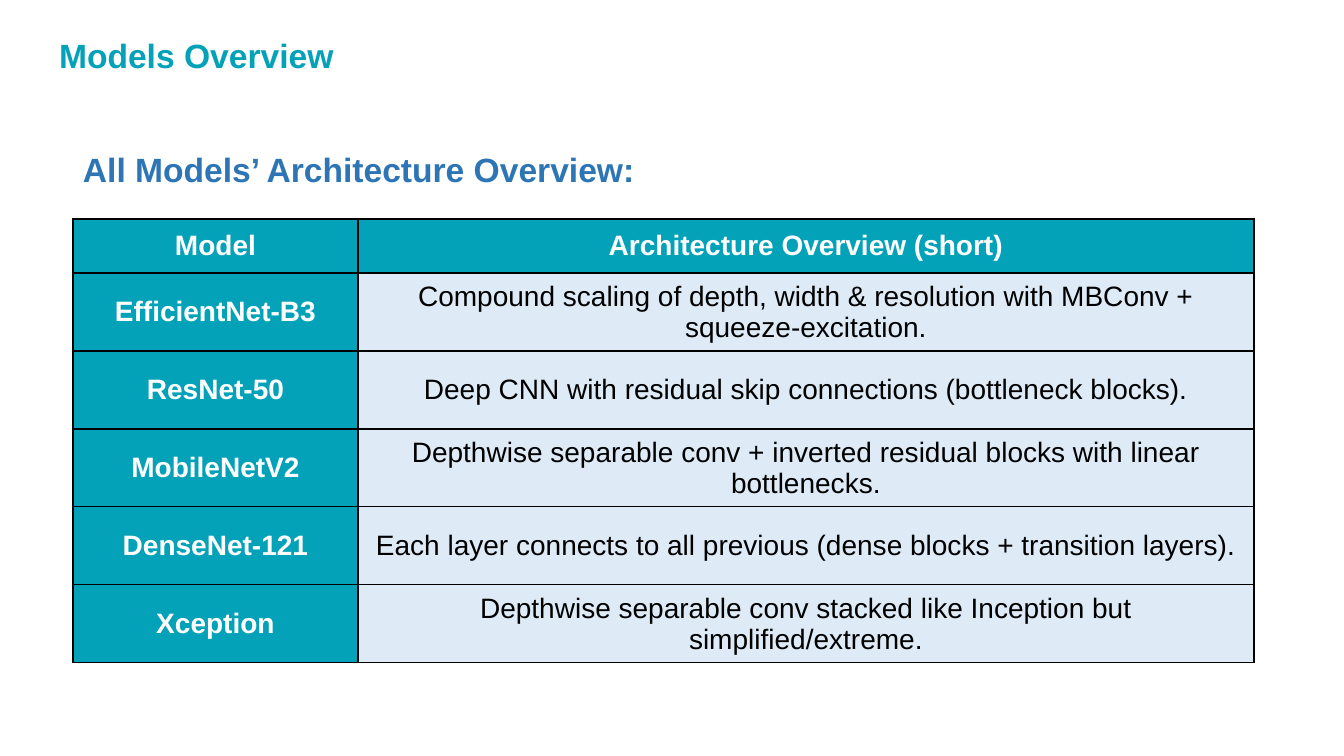
from dataclasses import dataclass

from lxml import etree
from pptx import Presentation
from pptx.dml.color import RGBColor
from pptx.enum.text import MSO_ANCHOR, MSO_AUTO_SIZE, PP_ALIGN
from pptx.oxml.ns import qn
from pptx.util import Pt

LEFT, CENTER = PP_ALIGN.LEFT, PP_ALIGN.CENTER
TOP, MIDDLE = MSO_ANCHOR.TOP, MSO_ANCHOR.MIDDLE
NO_AUTOFIT = MSO_AUTO_SIZE.NONE
EMU_PER_PX = 914400 / 100.8
TITLE_ONLY_LAYOUT = 5


@dataclass(frozen=True)
class Theme:
    font: str = "Arial"
    teal: str = "04A2B9"
    blue: str = "2E75B6"
    pale_blue: str = "DEEBF7"
    white: str = "FFFFFF"
    black: str = "000000"
    heading_size: int = 24
    table_size: int = 20
    border_width: int = 1


THEME = Theme()
HEADER = ("Model", "Architecture Overview (short)")
MODELS = (
    ("EfficientNet-B3", "Compound scaling of depth, width & resolution with MBConv + squeeze-excitation."),
    ("ResNet-50", "Deep CNN with residual skip connections (bottleneck blocks)."),
    ("MobileNetV2", "Depthwise separable conv + inverted residual blocks with linear bottlenecks."),
    ("DenseNet-121", "Each layer connects to all previous (dense blocks + transition layers)."),
    ("Xception", "Depthwise separable conv stacked like Inception but simplified/extreme."),
)


def px(length):
    return round(length * EMU_PER_PX)


def write_text(text_frame, text, size, color, bold, alignment):
    text_frame.text = text
    paragraph = text_frame.paragraphs[0]
    paragraph.alignment = alignment
    paragraph.font.name = THEME.font
    paragraph.font.size = Pt(size)
    paragraph.font.bold = bold
    paragraph.font.color.rgb = RGBColor.from_string(color)


def write_heading(shape, text, color, margin, anchor):
    text_frame = shape.text_frame
    text_frame.word_wrap = True
    text_frame.auto_size = NO_AUTOFIT
    text_frame.vertical_anchor = anchor
    text_frame.margin_left = text_frame.margin_right = px(margin)
    text_frame.margin_top = text_frame.margin_bottom = px(margin)
    write_text(text_frame, text, THEME.heading_size, color, True, LEFT)


def add_title(slide, left, top, width, height):
    title = slide.shapes.title
    title.left, title.top = px(left), px(top)
    title.width, title.height = px(width), px(height)
    write_heading(title, "Models Overview", THEME.teal, 1, MIDDLE)


def add_subtitle(slide, left, top, width, height):
    box = slide.shapes.add_textbox(px(left), px(top), px(width), px(height))
    write_heading(box, "All Models’ Architecture Overview:", THEME.blue, 10, TOP)


def add_borders(cell):
    properties = cell._tc.get_or_add_tcPr()
    for index, side in enumerate(("a:lnL", "a:lnR", "a:lnT", "a:lnB")):
        line = etree.Element(qn(side), w=str(Pt(THEME.border_width)))
        fill = etree.SubElement(line, qn("a:solidFill"))
        etree.SubElement(fill, qn("a:srgbClr"), val=THEME.black)
        properties.insert(index, line)


def format_cell(cell, text, is_heading):
    cell.fill.solid()
    cell.fill.fore_color.rgb = RGBColor.from_string(THEME.teal if is_heading else THEME.pale_blue)
    cell.vertical_anchor = MIDDLE
    color = THEME.white if is_heading else THEME.black
    write_text(cell.text_frame, text, THEME.table_size, color, is_heading, CENTER)
    add_borders(cell)


def add_model_table(slide, left, top, width, height):
    rows = (HEADER, *MODELS)
    frame = slide.shapes.add_table(
        len(rows), len(HEADER), px(left), px(top), px(width), px(height))
    table = frame.table
    model_width, header_height = 285, 54
    table.columns[0].width = px(model_width)
    table.columns[1].width = px(width - model_width)
    model_height = (height - header_height) / len(MODELS)
    for row_index, texts in enumerate(rows):
        table.rows[row_index].height = px(model_height if row_index else header_height)
        for column_index, text in enumerate(texts):
            is_heading = row_index == 0 or column_index == 0
            format_cell(table.cell(row_index, column_index), text, is_heading)


def main():
    presentation = Presentation()
    presentation.slide_width, presentation.slide_height = px(1344), px(756)
    slide = presentation.slides.add_slide(presentation.slide_layouts[TITLE_ONLY_LAYOUT])
    add_title(slide, 58, 34, 815, 42)
    add_subtitle(slide, 73, 139, 1192, 61)
    add_model_table(slide, 73, 219, 1181, 444)
    presentation.save("out.pptx")


if __name__ == "__main__":
    main()
